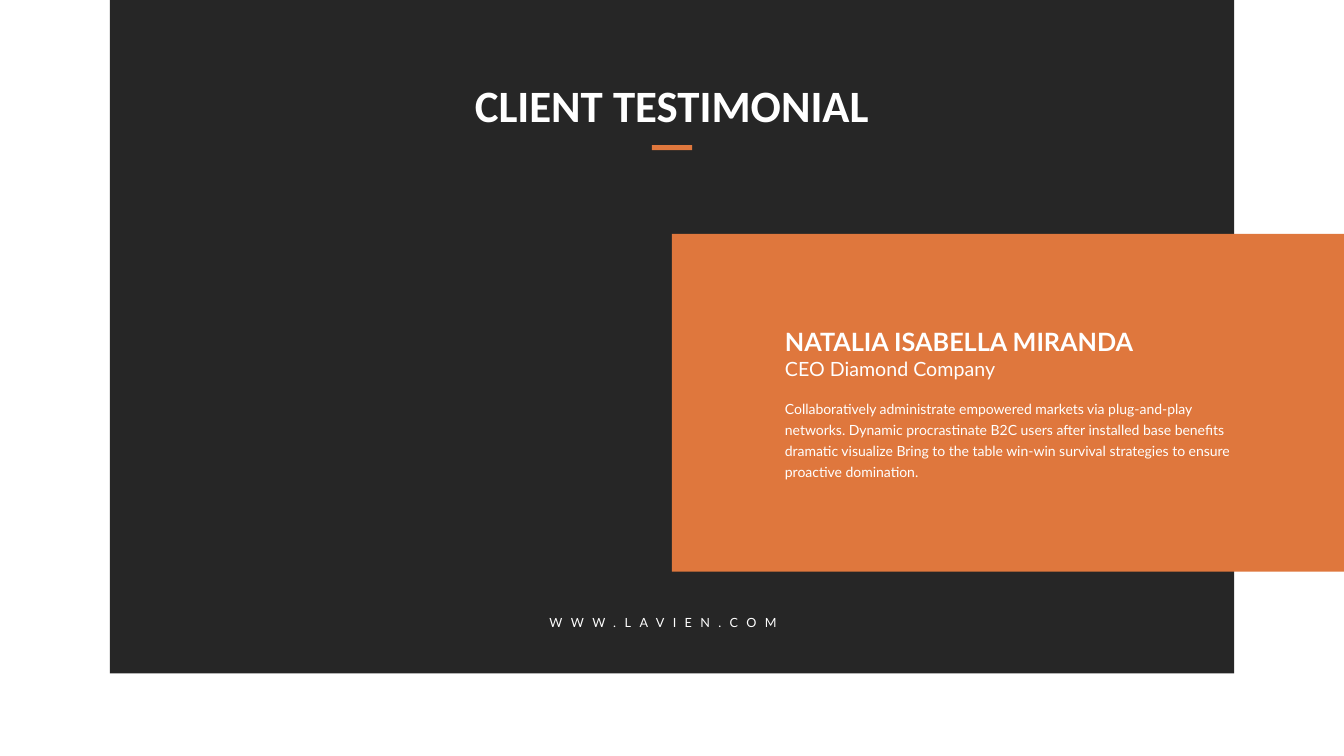
from pptx import Presentation
from pptx.dml.color import RGBColor
from pptx.enum.shapes import MSO_SHAPE
from pptx.enum.text import MSO_ANCHOR, MSO_AUTO_SIZE, PP_ALIGN
from pptx.util import Inches, Pt

DARK, ORANGE, WHITE = "262626", "DF773D", "FFFFFF"
SLIDE_W, SLIDE_H = 13.33, 7.5


def color(hex_value):
    return RGBColor.from_string(hex_value)


def add_block(slide, left, top, width, height, fill):
    block = slide.shapes.add_shape(
        MSO_SHAPE.RECTANGLE, Inches(left), Inches(top), Inches(width), Inches(height))
    block.shadow.inherit = False
    block.fill.solid()
    block.fill.fore_color.rgb = color(fill)
    block.line.fill.background()


def write(frame, text, size, font="Lato", bold=False, align=PP_ALIGN.LEFT,
          anchor=MSO_ANCHOR.TOP, line_spacing=None, tracking=None):
    frame.margin_left = frame.margin_top = frame.margin_right = frame.margin_bottom = 0
    frame.word_wrap = True
    frame.auto_size = MSO_AUTO_SIZE.SHAPE_TO_FIT_TEXT
    frame.vertical_anchor = anchor
    paragraph = frame.paragraphs[0]
    paragraph.alignment = align
    paragraph.space_before = Pt(0)
    paragraph.line_spacing = Pt(line_spacing) if line_spacing else 1.0
    run = paragraph.add_run()
    run.text = text
    run.font.name = font
    run.font.size = Pt(size)
    run.font.bold = bold
    run.font.color.rgb = color(WHITE)
    if tracking:
        run.font._element.set("spc", str(tracking * 100))


def add_text(slide, left, top, width, height, text, size, **text_format):
    box = slide.shapes.add_textbox(
        Inches(left), Inches(top), Inches(width), Inches(height))
    write(box.text_frame, text, size, **text_format)


def add_heading(slide, left, top, width):
    # Title, brought in front of the dark panel
    title = slide.shapes.title
    title.left, title.top = Inches(left), Inches(top)
    title.width, title.height = Inches(width), Inches(0.49)
    write(title.text_frame, "CLIENT TESTIMONIAL", 32, font="Calibri", bold=True,
          align=PP_ALIGN.CENTER, anchor=MSO_ANCHOR.MIDDLE, line_spacing=35)
    slide.shapes._spTree.append(title._element)

    # Accent bar centred under the title
    bar_width = 0.4
    add_block(slide, left + (width - bar_width) / 2, top + 0.62, bar_width, 0.05, ORANGE)


def add_testimonial(slide, left, top, width, height):
    add_block(slide, left, top, width, height, ORANGE)
    text_left, text_width = left + 1.12, 4.42
    add_text(slide, text_left, top + 0.92, text_width, 0.3,
             "NATALIA ISABELLA MIRANDA", 18, bold=True)
    add_text(slide, text_left, top + 1.22, text_width, 0.24, "CEO Diamond Company", 14)
    add_text(slide, text_left, top + 1.61, text_width, 0.82,
             "Collaboratively administrate empowered markets via plug-and-play networks. "
             "Dynamic procrastinate B2C users after installed base benefits dramatic "
             "visualize Bring to the table win-win survival strategies to ensure "
             "proactive domination.", 10, line_spacing=15)


def main():
    prs = Presentation()
    prs.slide_width, prs.slide_height = Inches(SLIDE_W), Inches(SLIDE_H)
    slide = prs.slides.add_slide(prs.slide_layouts[5])
    slide.background.fill.solid()
    slide.background.fill.fore_color.rgb = color(WHITE)

    # Dark panel
    panel_width = 11.15
    add_block(slide, (SLIDE_W - panel_width) / 2, 0, panel_width, 6.68, DARK)

    # Heading, testimonial on the right half, web address
    heading_width = 4.93
    add_heading(slide, (SLIDE_W - heading_width) / 2, 0.82, heading_width)
    add_testimonial(slide, SLIDE_W / 2, 2.32, SLIDE_W / 2, 3.35)
    add_text(slide, 5.45, 6.1, 2.43, 0.15, "WWW.LAVIEN.COM", 9, tracking=6)

    prs.save("out.pptx")


if __name__ == "__main__":
    main()
